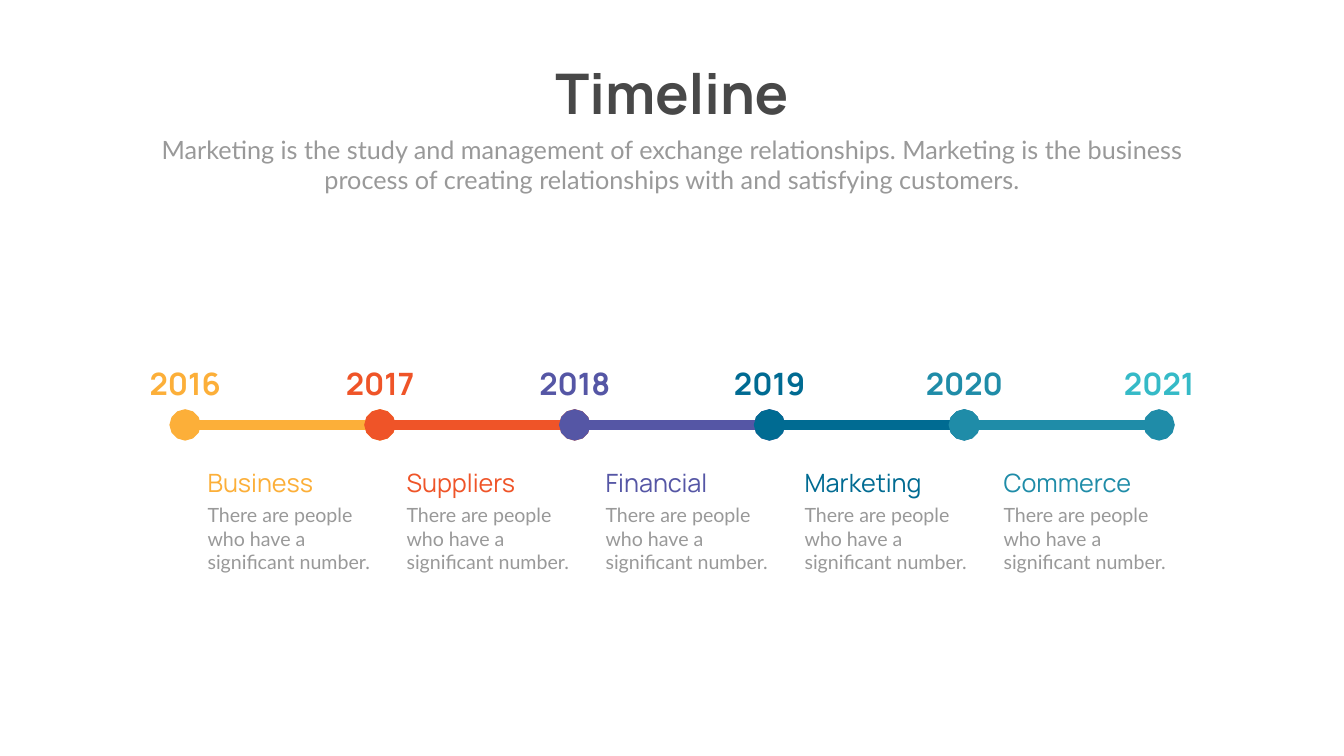
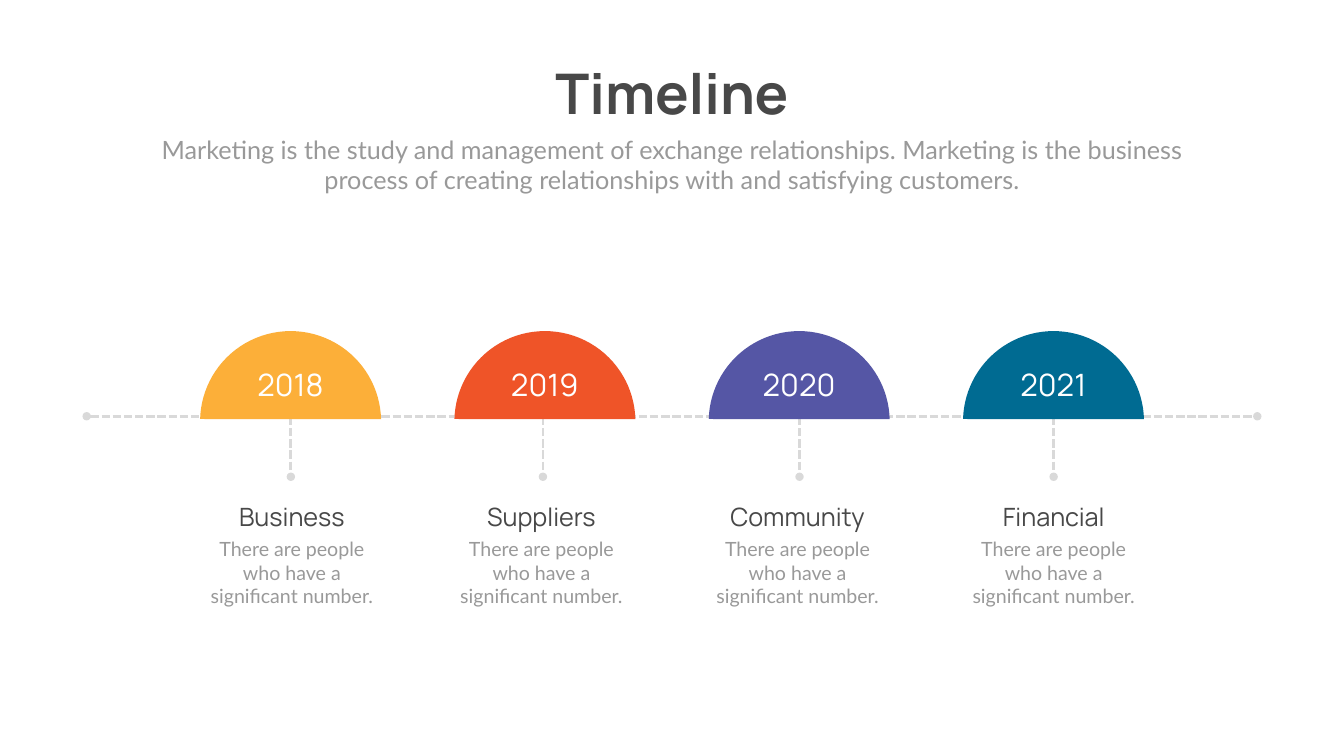
import pptx
import pptx.util
import pptx.dml.color
import pptx.enum.dml
import pptx.enum.shapes
import pptx.enum.text
import pptx.oxml
import pptx.oxml.ns

Pt = pptx.util.Pt
Align = pptx.enum.text.PP_ALIGN


class Theme:
    # Colours
    dark, grey, pale, white = "484848", "999999", "D9D9D9", "FFFFFF"
    hues = ["FCAF39", "EF5428", "5556A5", "006B92", "1F8CA8", "35BAC7"]
    # Type styles: font, size, bold
    title = ("Manrope", 80, True)
    lead = ("Lato", 36, False)
    year = ("Manrope", 44, False)
    mark = ("Manrope", 44, True)
    head = ("Manrope", 36, False)
    body = ("Lato", 28, False)


def write(shapes, rect, text, style, hue, align=Align.CENTER, box=None, wrap=True, inset=None):
    """Put one styled line of text in a new box, or in the given one."""
    rect = [Pt(n) for n in rect]
    if box is None:
        box = shapes.add_textbox(*rect)
    else:
        box.left, box.top, box.width, box.height = rect
    frame = box.text_frame
    frame.word_wrap = wrap
    frame.auto_size = pptx.enum.text.MSO_AUTO_SIZE.SHAPE_TO_FIT_TEXT
    frame.vertical_anchor = pptx.enum.text.MSO_ANCHOR.TOP
    if inset:
        frame.margin_left = frame.margin_right = Pt(inset)
        frame.margin_top = frame.margin_bottom = Pt(inset)
    para = frame.paragraphs[0]
    para.alignment = align
    run = para.add_run()
    run.text = text
    font = run.font
    font.name, font.bold = style[0], style[2]
    font.size = Pt(style[1])
    font.color.rgb = pptx.dml.color.RGBColor.from_string(hue)


def draw(shapes, ends, hue, width, dots, dash=False):
    """Draw a straight line with oval dots at the named ends."""
    line = shapes.add_connector(pptx.enum.shapes.MSO_CONNECTOR.STRAIGHT, *[Pt(n) for n in ends])
    line.line.width = Pt(width)
    line.line.color.rgb = pptx.dml.color.RGBColor.from_string(hue)
    if dash:
        line.line.dash_style = pptx.enum.dml.MSO_LINE.SQUARE_DOT
    props = line.element.spPr
    stroke = props.find(pptx.oxml.ns.qn("a:ln"))
    space = pptx.oxml.ns.nsdecls("a")
    for dot in dots:
        stroke.append(pptx.oxml.parse_xml(f'<a:{dot} {space} type="oval"/>'))
    props.append(pptx.oxml.parse_xml(f"<a:effectLst {space}/>"))


deck = pptx.Presentation()
deck.slide_width, deck.slide_height = Pt(1919.52), Pt(1080)
both = ["headEnd", "tailEnd"]
note = "There are people who have a significant number."
wide = 262.1  # width of the text columns

# Both slides: title and lead text
pages = []
for _ in range(2):
    shapes = deck.slides.add_slide(deck.slide_layouts[5]).shapes
    write(shapes, (773.3, 80.6, 373, 104.4), "Timeline", Theme.title, Theme.dark,
          box=shapes.title, wrap=False)
    write(shapes, (210.2, 187.9, 1499, 94.3),
          "Marketing is the study and management of exchange relationships. "
          "Marketing is the business process of creating relationships with "
          "and satisfying customers.", Theme.lead, Theme.grey)
    pages.append(shapes)

# Slide 1: bar of coloured spans
shapes = pages[0]
start, step, level = 264.4, 278.2, 607
topics = ["Business", "Suppliers", "Financial", "Marketing", "Commerce"]
bar = shapes.add_group_shape().shapes
for i in range(len(topics)):
    left = start + i * step
    draw(bar, (left, level, left + step, level), Theme.hues[i], 15, both)

# Years above the dots
for i, hue in enumerate(Theme.hues):
    write(shapes, (start + i * step - 66, 517, 132.5, 61.2), str(2016 + i),
          Theme.mark, hue, inset=4.5)

# Topics below the spans
for i, topic in enumerate(topics):
    left = 289.4 + i * 284.2
    write(shapes, (left, 663.8, wide, 51.1), topic, Theme.head, Theme.hues[i], Align.LEFT)
    write(shapes, (left, 715, wide, 108.7), note, Theme.body, Theme.grey, Align.LEFT)

# Slide 2: topic, column left, stem centre
shapes = pages[1]
stops = [("Business", 285.8, 415.4), ("Suppliers", 642.2, 775.4),
         ("Community", 1008, 1141.9), ("Financial", 1373.8, 1504.8)]

# Dashed stems and axis
for _, _, stem in stops:
    draw(shapes, (stem, 579.6, stem, 681.1), Theme.pale, 4, ["tailEnd"], dash=True)
draw(shapes, (123.8, 594.7, 1795.7, 594.7), Theme.pale, 4, both, dash=True)

# Domes
start, step, size = 285.8, 363.2, 258.5
domes = shapes.add_group_shape().shapes
for i in range(len(stops)):
    dome = domes.add_shape(pptx.enum.shapes.MSO_SHAPE.CHORD, Pt(start + i * step), Pt(473),
                           Pt(size), Pt(size))
    dome.adjustments[0], dome.adjustments[1] = 108.97, 215.11
    dome.fill.solid()
    dome.fill.fore_color.rgb = pptx.dml.color.RGBColor.from_string(Theme.hues[i])
    dome.line.fill.background()
    dome.shadow.inherit = False

# Years on the domes
for i in range(len(stops)):
    write(shapes, (start + i * step + 52, 519.1, 154.1, 60.5), str(2018 + i),
          Theme.year, Theme.white)

# Topics under the stems
for topic, left, _ in stops:
    pair = shapes.add_group_shape().shapes
    write(pair, (left, 712.8, wide, 51.1), topic, Theme.head, Theme.dark)
    write(pair, (left, 763.9, wide, 108.7), note, Theme.body, Theme.grey)

deck.save("out.pptx")
